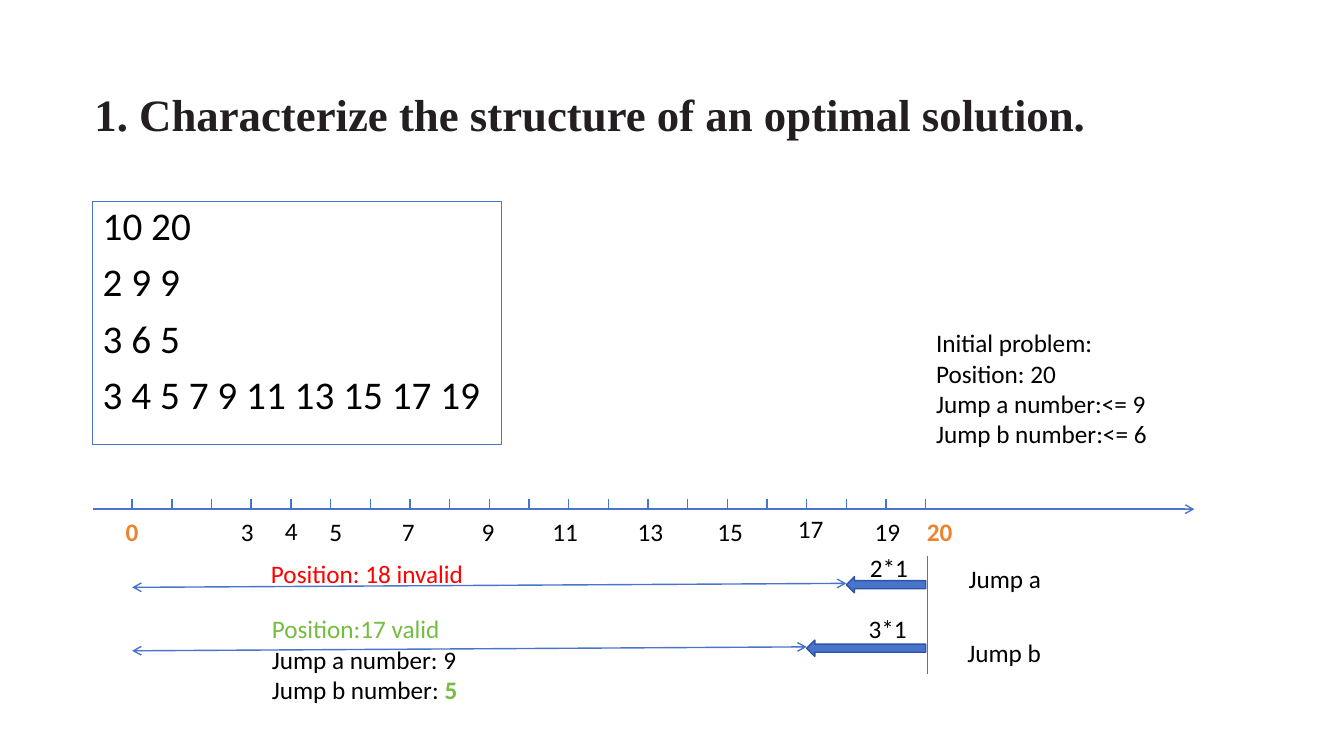
from lxml import etree
from pptx import Presentation
from pptx.dml.color import RGBColor as Rgb
from pptx.enum.shapes import MSO_CONNECTOR as Link, MSO_SHAPE as Shape
from pptx.enum.text import MSO_ANCHOR as Anchor
from pptx.oxml.ns import qn
from pptx.util import Cm, Pt

HUES = {
    "black": "000000", "ink": "231F20", "blue": "4874CB", "navy": "2E54A1",
    "orange": "EE822F", "red": "FF0000", "green": "75BD42",
}
ZERO, STEP, AXIS = 3.33, 1, 12.83
# Number on the axis: left edge and top of its label
MARKS = {
    0: (2.92, 12.88), 3: (5.82, 12.88), 4: (6.93, 12.85), 5: (8.05, 12.88),
    7: (9.88, 12.88), 9: (11.89, 12.88), 11: (13.67, 12.88),
    13: (15.82, 12.88), 15: (17.83, 12.88), 17: (19.86, 12.8),
    19: (21.79, 12.88), 20: (23.11, 12.88),
}


def hue(name):
    return Rgb.from_string(HUES[name])


def style(font, color="black", size=18, bold=False, face="Calibri"):
    font.name, font.size, font.bold = face, Pt(size), bold
    font.color.rgb = hue(color)


def add_text(slide, box, lines, **look):
    shape = slide.shapes.add_textbox(*map(Cm, box))
    frame = shape.text_frame
    frame.word_wrap = True
    frame.text = "\n".join(lines)
    for para in frame.paragraphs:
        style(para.font, **look)
    return shape


def add_line(slide, start, end, head=False, tail=False):
    line = slide.shapes.add_connector(Link.STRAIGHT, *map(Cm, start + end))
    line.line.color.rgb = hue("blue")
    line.line.width = Pt(1)
    props = line._element.spPr
    for tag, shown in (("a:headEnd", head), ("a:tailEnd", tail)):
        if shown:
            etree.SubElement(line.line._get_or_add_ln(), qn(tag), type="arrow")
    etree.SubElement(props, qn("a:effectLst"))


def add_title(slide):
    title = add_text(slide, (2.13, 1.12, 30.12, 3.68),
                     ["1. Characterize the structure of an optimal solution."],
                     color="ink", size=32, bold=True, face="Times New Roman")
    title.text_frame.vertical_anchor = Anchor.MIDDLE
    title.text_frame.paragraphs[0].line_spacing = 0.9


def add_input(slide):
    """Add the framed sample input."""
    box = add_text(slide, (2.34, 5.08, 10.29, 6.12),
                   ["10 20", "2 9 9", "3 6 5", "3 4 5 7 9 11 13 15 17 19"],
                   size=28)
    box.line.color.rgb = hue("blue")
    box.line.width = Pt(0.75)
    for i, para in enumerate(box.text_frame.paragraphs):
        para.line_spacing = 0.9
        para.space_before = Pt(10 if i else 0)


def add_axis(slide):
    add_line(slide, (2.34, AXIS), (30.1, AXIS), tail=True)
    for i in range(21):
        x = ZERO + i * STEP
        add_line(slide, (x, 12.58), (x, 12.81))
    for num, (left, top) in MARKS.items():
        end = num in (0, 20)
        add_text(slide, (left, top, 1.4, 1.02), [str(num)],
                 color="orange" if end else "black", bold=end)


def add_jump(slide, name, cost, stop, top, spot, tag):
    """Add a block arrow from 20 back to stop, and the span left of it."""
    x = ZERO + stop * STEP
    arrow = slide.shapes.add_shape(
        Shape.LEFT_ARROW, Cm(x), Cm(top), Cm((20 - stop) * STEP), Cm(0.41))
    arrow.shadow.inherit = False
    arrow.fill.solid()
    arrow.fill.fore_color.rgb = hue("blue")
    arrow.line.color.rgb = hue("navy")
    arrow.line.width = Pt(1)
    add_text(slide, (*spot, 1.98, 1.02), [cost])
    add_line(slide, (ZERO, top + 0.27), (x, top + 0.17), head=True, tail=True)
    add_text(slide, (*tag, 2.54, 1.02), [name])


def add_notes(slide):
    add_text(slide, (23.34, 8.13, 6.81, 3.33),
             ["Initial problem:", "Position: 20",
              "Jump a number:<= 9", "Jump b number:<= 6"])
    add_text(slide, (6.58, 13.94, 11.28, 1.02), ["Position: 18 invalid"],
             color="red")
    valid = add_text(slide, (6.6, 15.34, 6.12, 2.57),
                     ["Position:17 valid", "Jump a number: 9",
                      "Jump b number: "])
    first, _, last = valid.text_frame.paragraphs
    style(first.font, "green")
    five = last.add_run()
    five.text = "5"
    style(five.font, "green", bold=True)


def main():
    deck = Presentation()
    deck.slide_width, deck.slide_height = Cm(33.87), Cm(19.05)
    slide = deck.slides.add_slide(deck.slide_layouts[6])
    add_title(slide)
    add_input(slide)
    add_axis(slide)
    add_jump(slide, "Jump a", "2*1", 18, 14.53, (21.67, 13.79), (24.16, 14.07))
    add_jump(slide, "Jump b", "3*1", 17, 16.13, (21.64, 15.34), (24.13, 15.93))
    add_notes(slide)
    add_line(slide, (23.37, 14), (23.37, 16.99))
    deck.save("out.pptx")


if __name__ == "__main__":
    main()
